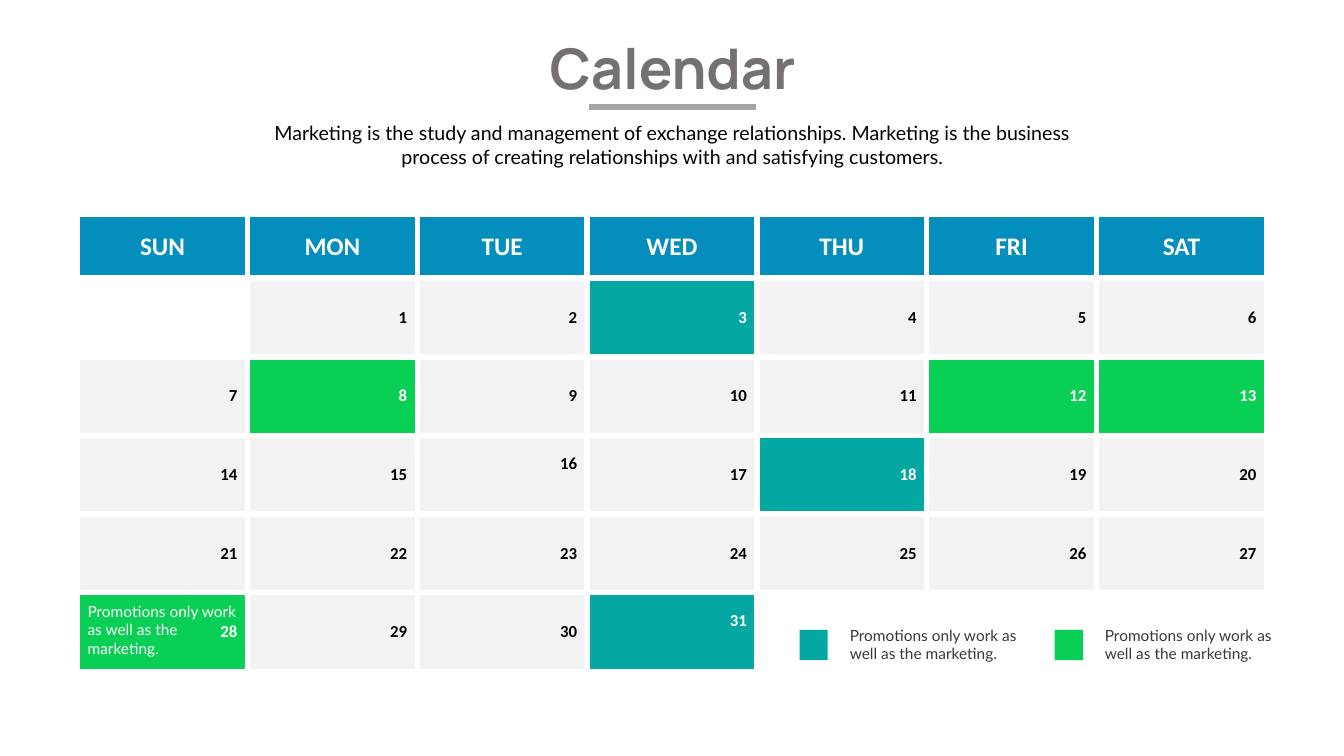
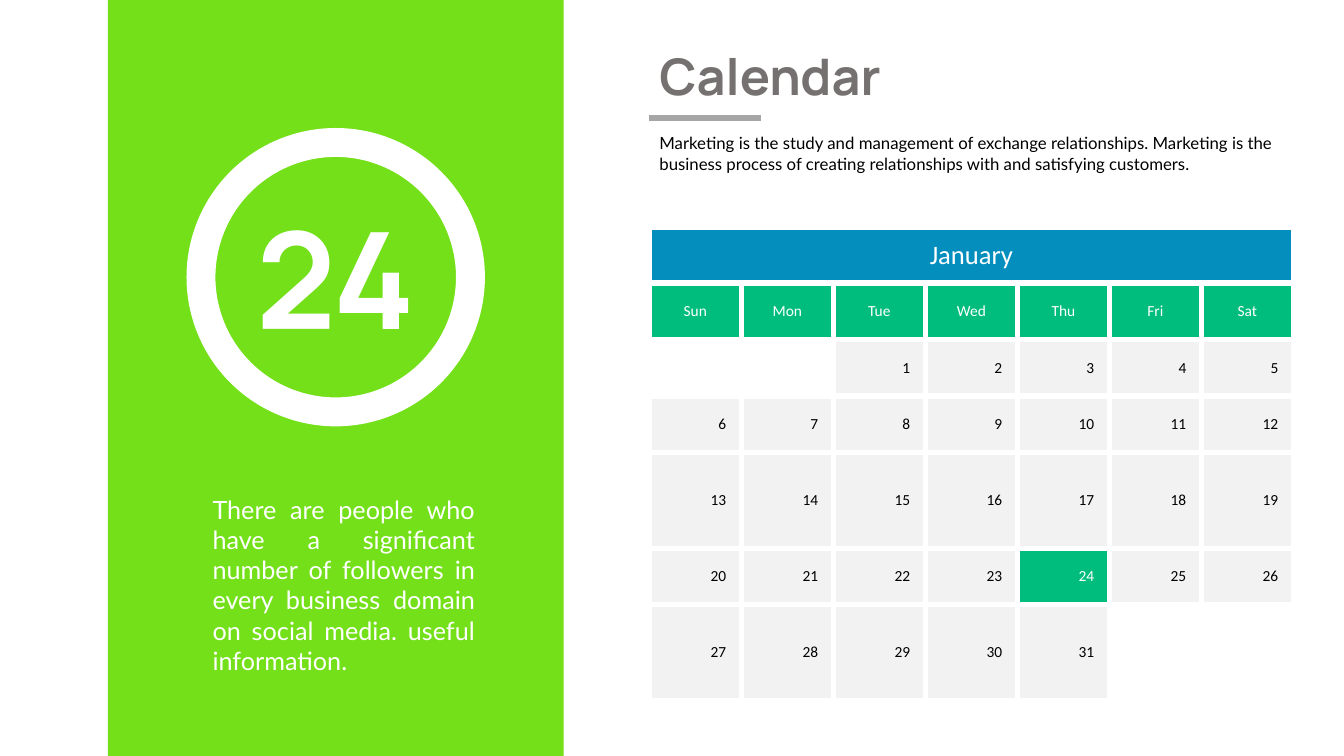
"""Build two calendar slides."""
import lxml.etree
import pptx
import pptx.dml.color
import pptx.enum.shapes
import pptx.enum.text
import pptx.oxml.ns
import pptx.util

Inches = pptx.util.Inches
Pt = pptx.util.Pt
Shape = pptx.enum.shapes.MSO_SHAPE
Align = pptx.enum.text.PP_ALIGN
Anchor = pptx.enum.text.MSO_ANCHOR
qn = pptx.oxml.ns.qn

COLORS = {
    "white": "FFFFFF", "black": "000000", "title": "767171", "rule": "A6A6A6",
    "legend": "3B3838", "blue": "048EBD", "teal": "04A7A2", "green": "09D054",
    "mint": "00BD7D", "lime": "73E019", "day": "F2F2F2",
}
INTRO = ("Marketing is the study and management of exchange relationships. "
         "Marketing is the business process of creating relationships with "
         "and satisfying customers.")
PROMOTION = "Promotions only work as well as the marketing."
FOLLOWERS = ("There are people who have a significant number of followers in "
             "every business domain on social media. useful information.")
WEEKDAYS = ["Sun", "Mon", "Tue", "Wed", "Thu", "Fri", "Sat"]
LAST_DAY = 31
RAISED_MARGIN = 0.27


def rgb(color):
    """Return the colour object of a palette name."""
    return pptx.dml.color.RGBColor.from_string(COLORS[color])


def assign(target, values):
    """Set each named attribute on the target."""
    for name, value in values.items():
        setattr(target, name, value)


def write(frame, text, size, color, font="Lato", bold=False, align=Align.LEFT):
    """Write one formatted paragraph into a text frame and return it."""
    para = frame.paragraphs[0]
    assign(para, {"alignment": align, "space_before": Pt(0)})
    span = para.add_run()
    span.text = text
    assign(span.font, {"size": Pt(size), "name": font, "bold": bold})
    span.font.color.rgb = rgb(color)
    return para


def place(box, at, wrap=True):
    """Move a text shape and set how its frame behaves."""
    assign(box, dict(zip(("left", "top", "width", "height"), map(Inches, at))))
    assign(box.text_frame, {
        "word_wrap": wrap,
        "auto_size": pptx.enum.text.MSO_AUTO_SIZE.NONE,
        "vertical_anchor": Anchor.TOP,
    })
    return box.text_frame


def add_text(page, at, text, size, color, **style):
    """Add a wrapped text box."""
    box = page.shapes.add_textbox(*map(Inches, at))
    write(place(box, at), text, size, color, **style)


def add_filled(page, kind, at, color):
    """Add a flat preset shape without an outline."""
    shape = page.shapes.add_shape(kind, *map(Inches, at))
    shape.shadow.inherit = False
    shape.fill.solid()
    shape.fill.fore_color.rgb = rgb(color)
    shape.line.fill.background()
    return shape


def add_rule(page, left, right, top):
    """Add the grey rule under a title."""
    rule = page.shapes.add_connector(
        pptx.enum.shapes.MSO_CONNECTOR.STRAIGHT,
        *map(Inches, (left, top, right, top)))
    rule.line.color.rgb = rgb("rule")
    rule.line.width = Pt(4.25)
    lxml.etree.SubElement(rule._element.spPr, qn("a:effectLst"))


def add_header(page, title_at, title_size, intro_at, intro_size, rule, align):
    """Fill the title and body placeholders and underline the title."""
    title, body = page.placeholders
    write(place(title, title_at, wrap=False), "Calendar", title_size, "title",
          font="Manrope", bold=True, align=align)
    para = write(place(body, intro_at), INTRO, intro_size, "black", align=align)
    properties = para._p.get_or_add_pPr()
    for name in ("marL", "indent"):
        properties.set(name, "0")
    lxml.etree.SubElement(properties, qn("a:buNone"))
    add_rule(page, *rule)


def add_borders(cell):
    """Give a cell white borders on all sides."""
    properties = cell._tc.get_or_add_tcPr()
    for index, side in enumerate(("lnL", "lnR", "lnT", "lnB")):
        border = lxml.etree.Element(qn("a:" + side), w=str(Pt(4.5)))
        fill = lxml.etree.SubElement(border, qn("a:solidFill"))
        lxml.etree.SubElement(fill, qn("a:srgbClr"), val=COLORS["white"])
        properties.insert(index, border)


def add_grid(page, left, top, width, heights):
    """Add a seven-column table with white borders and clear cells."""
    columns = len(WEEKDAYS)
    grid = page.shapes.add_table(
        len(heights), columns,
        *map(Inches, (left, top, width, sum(heights)))).table
    assign(grid, {"first_row": False, "horz_banding": False})
    for column in grid.columns:
        column.width = Inches(width / columns)
    for row, height in zip(grid.rows, heights):
        row.height = Inches(height)
    for cell in grid.iter_cells():
        cell.fill.background()
        add_borders(cell)
    return grid


def fill_cell(cell, text, fill, margins, size, color, **style):
    """Fill a cell and write its centred or right-aligned text."""
    side, edge = map(Inches, margins)
    assign(cell, {
        "margin_left": side, "margin_right": side,
        "margin_top": edge, "margin_bottom": edge,
        "vertical_anchor": Anchor.MIDDLE,
    })
    cell.fill.solid()
    cell.fill.fore_color.rgb = rgb(fill)
    write(cell.text_frame, text, size, color, font="Calibri", **style)


def fill_weekdays(grid, row, names, fill, margins, size, bold=False):
    """Write the row of weekday names."""
    for column, name in enumerate(names):
        fill_cell(grid.cell(row, column), name, fill, margins, size, "white",
                  bold=bold, align=Align.CENTER)


def fill_days(grid, first_row, offset, marked, margins, size, bold=False):
    """Number the days from the offset column of the first week."""
    for day in range(1, LAST_DAY + 1):
        week, column = divmod(day - 1 + offset, len(WEEKDAYS))
        fill_cell(grid.cell(first_row + week, column), str(day),
                  marked.get(day, "day"), margins, size,
                  "white" if day in marked else "black",
                  bold=bold, align=Align.RIGHT)


def add_legend(page, left, color):
    """Add a colour key and its label."""
    add_filled(page, Shape.RECTANGLE, (left, 6.25, 0.28, 0.3), color)
    add_text(page, (left + 0.4, 6.16, 1.96, 0.47), PROMOTION, 11, "legend")


def build_month(page):
    """Build the full-width calendar."""
    add_header(page, (5.22, 0.28, 2.9, 0.77), 40, (2.37, 1.15, 8.6, 0.57), 14,
               (5.84, 7.5, 1.06), Align.CENTER)
    grid = add_grid(page, 0.77, 2.13, 11.79, [0.63] + [0.78] * 5)
    names = [name.upper() for name in WEEKDAYS]
    fill_weekdays(grid, 0, names, "blue", (0.06, 0.03), 18, bold=True)
    marked = {**dict.fromkeys((3, 18, 31), "teal"),
              **dict.fromkeys((8, 12, 13, 28), "green")}
    fill_days(grid, 1, 1, marked, (0.1, 0.05), 12, bold=True)
    for row, column in ((3, 2), (5, 3)):
        grid.cell(row, column).margin_bottom = Inches(RAISED_MARGIN)
    add_text(page, (0.77, 5.92, 1.78, 0.66), PROMOTION, 11, "white")
    for left, color in ((7.93, "teal"), (10.46, "green")):
        add_legend(page, left, color)


def build_date(page):
    """Build the calendar beside a highlighted date."""
    add_filled(page, Shape.RECTANGLE, (1.07, 0, 4.52, 7.5), "lime")
    add_header(page, (6.44, 0.4, 2.63, 0.71), 36, (6.44, 1.27, 6.39, 0.5), 12,
               (6.44, 7.55, 1.17), Align.LEFT)
    add_text(page, (2.01, 4.85, 2.8, 1.92), FOLLOWERS, 18, "white",
             align=Align.JUSTIFY)
    add_text(page, (2.25, 1.89, 2.16, 1.72), "24", 96, "white",
             font="Manrope", bold=True, align=Align.CENTER)
    ring = add_filled(page, Shape.DONUT, (1.85, 1.27, 2.96, 2.96), "white")
    ring.adjustments[0] = 0.097
    grid = add_grid(page, 6.44, 2.25, 6.39,
                    [0.56] * 4 + [0.95, 0.56, 0.95])
    month = grid.cell(0, 0)
    month.merge(grid.cell(0, len(WEEKDAYS) - 1))
    fill_cell(month, "January", "blue", (0.09, 0.05), 19, "white",
              align=Align.CENTER)
    fill_weekdays(grid, 1, WEEKDAYS, "mint", (0.05, 0.03), 11)
    fill_days(grid, 2, 2, {24: "mint"}, (0.15, 0.15), 11)


def main():
    """Create and save the deck."""
    deck = pptx.Presentation()
    assign(deck, {"slide_width": Inches(13.33), "slide_height": Inches(7.5)})
    for build in (build_month, build_date):
        build(deck.slides.add_slide(deck.slide_layouts[1]))
    deck.save("out.pptx")


if __name__ == "__main__":
    main()
